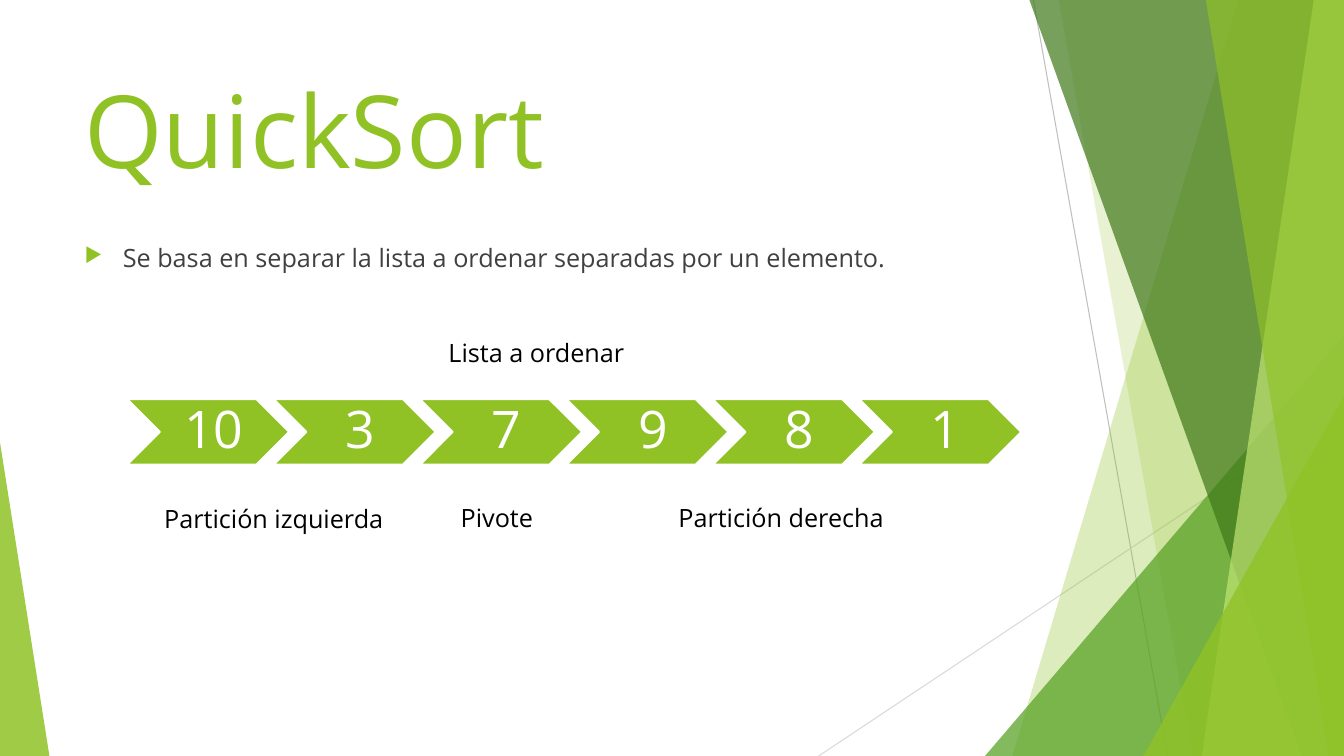
from pptx import Presentation, util as u
from pptx.dml.color import RGBColor
from pptx.enum import shapes as sh, text as tx
from pptx.oxml import parse_xml
from pptx.oxml.ns import nsdecls, qn
from lxml import etree

LIME = RGBColor(0x90, 0xC2, 0x26)
GREEN = RGBColor(0x54, 0xA0, 0x21)
DARK = RGBColor(0x3F, 0x78, 0x19)
PALE = RGBColor(0xC0, 0xE4, 0x74)
GRAY = RGBColor(0xBF, 0xBF, 0xBF)
SILVER = RGBColor(0xD9, 0xD9, 0xD9)
INK = RGBColor(0x40, 0x40, 0x40)
BLACK = RGBColor(0, 0, 0)
WHITE = RGBColor(255, 255, 255)
FONT = "Open Sans"
WIDE, HIGH = 13.33, 7.5


def put(obj, style):
    for key, val in style.items():
        setattr(obj, key, val)


def box(x, y, w, h):
    return [u.Inches(v) for v in (x, y, w, h)]


def paint(shape, color, alpha=100):
    shape.shadow.inherit = False
    shape.fill.solid()
    shape.fill.fore_color.rgb = color
    shape.line.fill.background()
    if alpha < 100:
        tone = shape.fill._xPr.find(".//" + qn("a:srgbClr"))
        etree.SubElement(tone, qn("a:alpha"), val=str(alpha * 1000))


def write(frame, words, size, color, style):
    put(frame, {"word_wrap": True, **style})
    para = frame.paragraphs[0]
    run = para.add_run()
    run.text = words
    put(run.font, {"name": FONT, "size": u.Pt(size)})
    run.font.color.rgb = color
    return para


def label(slide, area, words, size=18, color=BLACK, **style):
    frame = slide.shapes.add_textbox(*box(*area)).text_frame
    return write(frame, words, size, color, style)


def ray(slide, ends, color):
    line = slide.shapes.add_connector(
        sh.MSO_CONNECTOR.STRAIGHT, *box(*ends))
    line.line.color.rgb = color
    line.line.width = u.Pt(0.75)
    etree.SubElement(line._element.spPr, qn("a:effectLst"))


def band(slide, top, foot, right, high, color, alpha):
    # Slanted left edge, straight right edge
    pen = slide.shapes.build_freeform(u.Inches(top), 0)
    pen.add_line_segments([(u.Inches(x), u.Inches(y)) for x, y in
                           ((right, 0), (right, high), (foot, high))])
    paint(pen.convert_to_shape(), color, alpha)


def wedge(slide, area, lean, color, alpha):
    shape = slide.shapes.add_shape(
        sh.MSO_SHAPE.ISOSCELES_TRIANGLE, *box(*area))
    shape.adjustments[0] = lean
    paint(shape, color, alpha)


def decor(slide, wide, high):
    ray(slide, (wide - 3.08, 0, wide - 1.75, high), GRAY)
    ray(slide, (wide, high - 3.47, wide - 5.21, high), SILVER)

    def strip(top, foot, color, alpha):
        band(slide, wide - top, wide - foot, wide, high, color, alpha)

    def corner(w, h, color, alpha):
        wedge(slide, (wide - w, high - h, w, h), 1, color, alpha)

    strip(1.05, 3.29, LIME, 30)
    strip(2.83, 1.5, LIME, 20)
    corner(3.56, 4.17, GREEN, 72)
    strip(3.12, 0.42, DARK, 70)
    strip(0.3, 1.41, PALE, 70)
    strip(1.37, 0.15, LIME, 65)
    corner(1.99, 3.57, LIME, 80)
    wedge(slide, (0, high - 3.11, 0.49, 3.11), 0, LIME, 85)


def intro(slide, x, y, w):
    label(slide, (x, y, w, 1.44), "QuickSort", 72, LIME, margin_top=0)
    para = label(
        slide, (x, y + 1.69, w, 0.5),
        "Se basa en separar la lista a ordenar separadas por un elemento.",
        color=INK)
    # Arrow bullet with hanging indent
    props = para._p.get_or_add_pPr()
    props.set("marL", str(u.Inches(0.38)))
    props.set("indent", str(u.Inches(-0.38)))
    for part in (f'<a:buClr {nsdecls("a")}><a:srgbClr val="{LIME}"/></a:buClr>',
                 f'<a:buSzPct {nsdecls("a")} val="80000"/>',
                 f'<a:buChar {nsdecls("a")} char="\u25b6"/>'):
        props.append(parse_xml(part))


def chain(slide, x, y, w, h, items):
    # Equal chevrons, each one step after the last
    size = 1.61
    step = (w - size) / (len(items) - 1)
    for i, item in enumerate(items):
        shape = slide.shapes.add_shape(
            sh.MSO_SHAPE.CHEVRON, *box(x + i * step, y, size, h))
        paint(shape, LIME)
        shape.line.color.rgb = WHITE
        shape.line.width = u.Pt(1.5)
        para = write(shape.text_frame, str(item), 37, WHITE, {
            "vertical_anchor": tx.MSO_ANCHOR.MIDDLE,
            "margin_left": u.Inches(0.16), "margin_right": u.Inches(0.05)})
        put(para, {"alignment": tx.PP_ALIGN.CENTER, "line_spacing": 0.9})
    # Captions above and below
    for dx, dy, wide, words in (
            (3.09, -0.66, 2.43, "Lista a ordenar"),
            (0.27, 0.98, 2.43, "Partición izquierda"),
            (3.21, 0.97, 1.19, "Pivote"),
            (5.37, 0.97, 2.43, "Partición derecha")):
        label(slide, (x + dx, y + dy, wide, 0.4), words)


deck = Presentation()
put(deck, {"slide_width": u.Inches(WIDE), "slide_height": u.Inches(HIGH)})
page = deck.slides.add_slide(deck.slide_layouts[6])
decor(page, WIDE, HIGH)
intro(page, 0.74, 0.67, 9.4)
chain(page, 1.26, 3.96, 8.87, 0.65, [10, 3, 7, 9, 8, 1])
deck.save("out.pptx")
